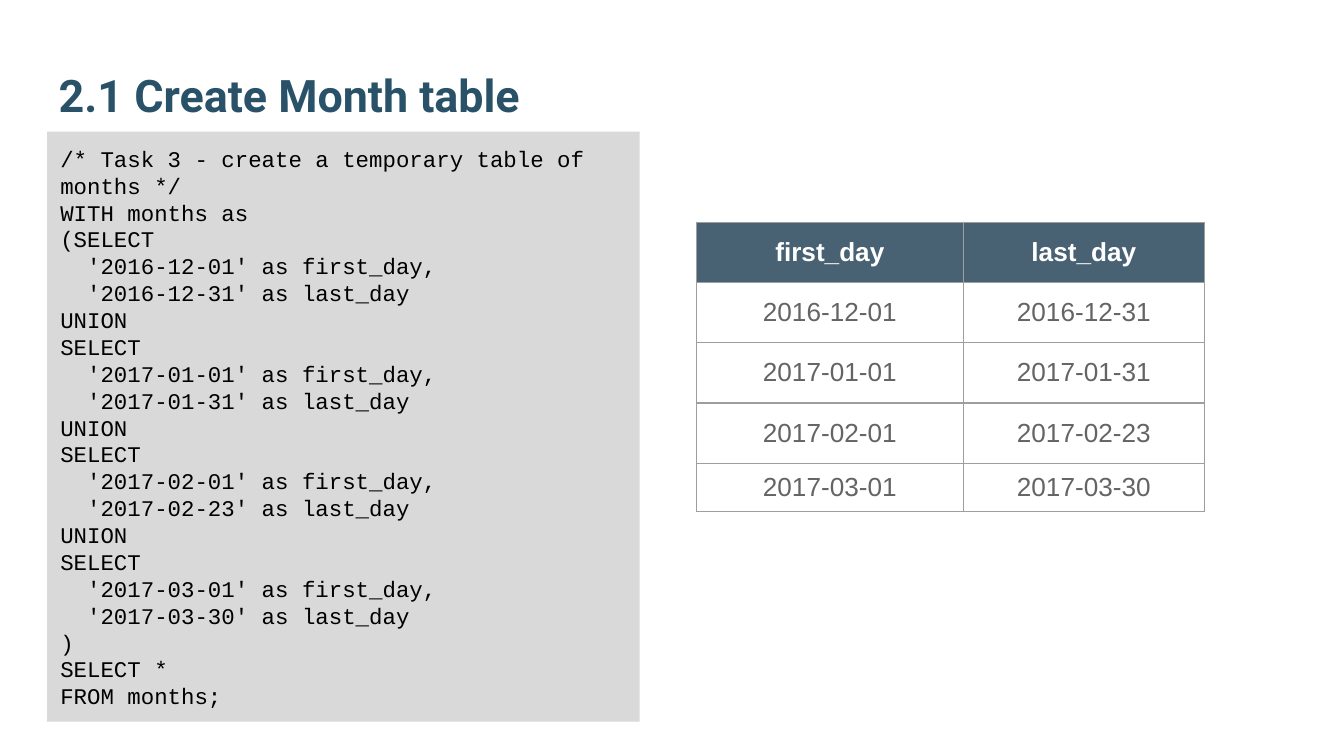
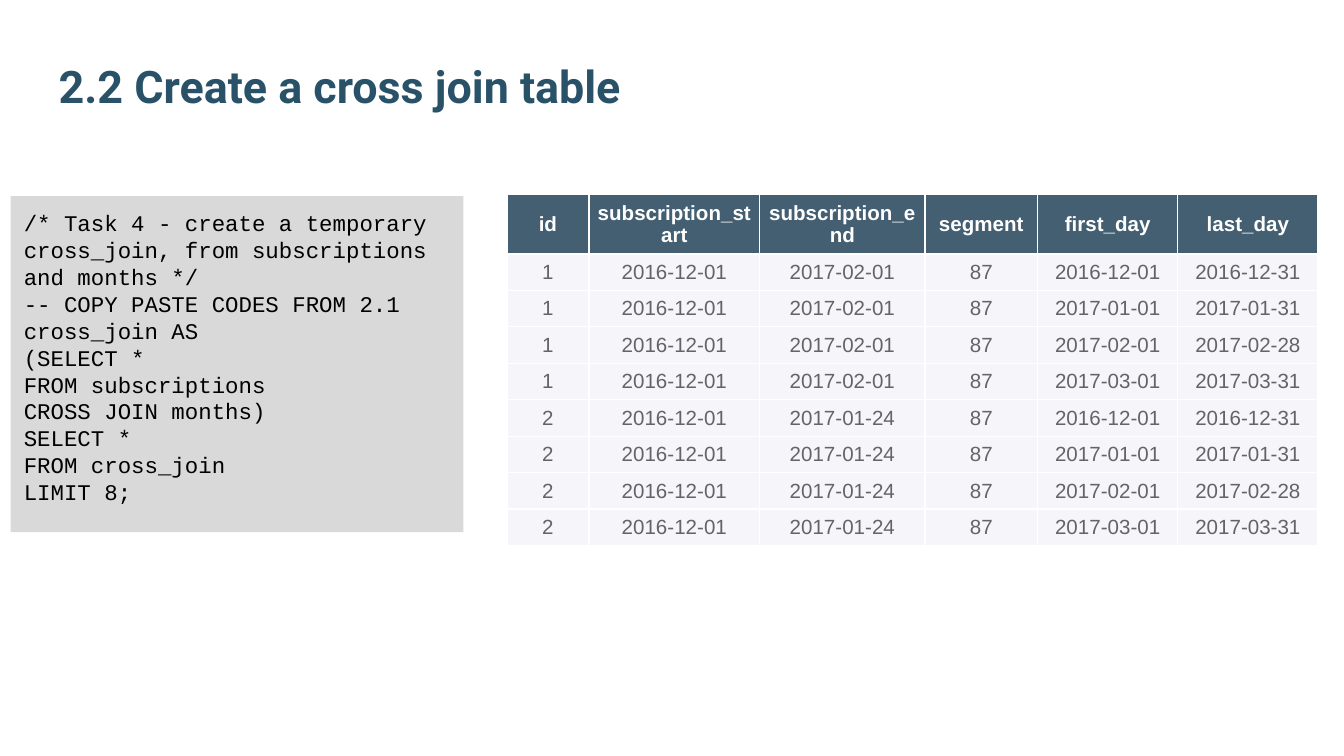
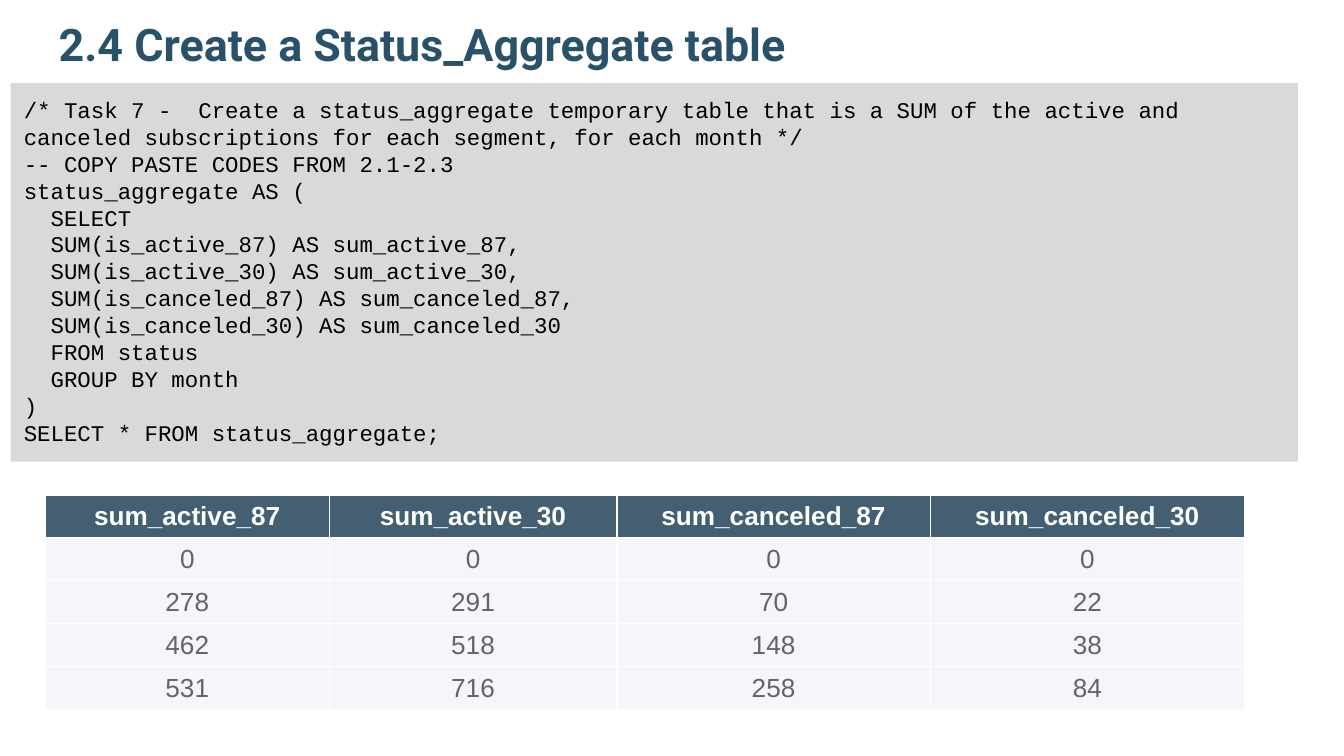
"""Build three slides that pair SQL code with the table it returns."""
import itertools

import pptx
import pptx.dml.color
import pptx.enum.shapes
import pptx.enum.text
import pptx.oxml
import pptx.oxml.ns
import pptx.util

Cm = pptx.util.Cm
Pt = pptx.util.Pt
RGB = pptx.dml.color.RGBColor.from_string
ALIGN = pptx.enum.text.PP_ALIGN
ANCHOR = pptx.enum.text.MSO_ANCHOR


class Theme:
    """Colours, fonts and type sizes shared by all slides."""
    title, code, panel = "295269", "000000", "D9D9D9"
    head, body, white, grey = "445F71", "F6F5FA", "FFFFFF", "9E9E9E"
    glass, clear, cell = "204056", 82000, "646466"
    bold, mono, sans = "Roboto", "Courier New", "Arial"
    big, small, lead = 24, 12, 14.4


def put(frame, text, font=Theme.sans, size=14, color=Theme.cell, bold=False,
        align=ALIGN.LEFT, lead=None):
    """Fill a text frame, one paragraph for each line of text."""
    for index, line in enumerate(text.split("\n")):
        para = frame.add_paragraph() if index else frame.paragraphs[0]
        para.alignment = align
        if lead:
            para.line_spacing = Pt(lead)
        run = para.add_run()
        run.text = line
        run.font.name, run.font.size, run.font.bold = font, Pt(size), bold
        run.font.color.rgb = RGB(color)


months = """/* Task 3 - create a temporary table of months */
WITH months as
(SELECT
  '2016-12-01' as first_day,
  '2016-12-31' as last_day
UNION
SELECT
  '2017-01-01' as first_day,
  '2017-01-31' as last_day
UNION
SELECT
  '2017-02-01' as first_day,
  '2017-02-23' as last_day
UNION
SELECT
  '2017-03-01' as first_day,
  '2017-03-30' as last_day
)
SELECT *
FROM months;"""

cross = """/* Task 4 - create a temporary cross_join, from subscriptions and months */
-- COPY PASTE CODES FROM 2.1
cross_join AS
(SELECT *
FROM subscriptions
CROSS JOIN months)
SELECT *
FROM cross_join
LIMIT 8;"""

status = """/* Task 7 -  Create a status_aggregate temporary table that is a SUM of the active and canceled subscriptions for each segment, for each month */
-- COPY PASTE CODES FROM 2.1-2.3
status_aggregate AS (
  SELECT
  SUM(is_active_87) AS sum_active_87,
  SUM(is_active_30) AS sum_active_30,
  SUM(is_canceled_87) AS sum_canceled_87,
  SUM(is_canceled_30) AS sum_canceled_30
  FROM status
  GROUP BY month
)
SELECT * FROM status_aggregate;"""

users = [("1", "2016-12-01", "2017-02-01", "87"),
         ("2", "2016-12-01", "2017-01-24", "87")]
spans = [("2016-12-01", "2016-12-31"), ("2017-01-01", "2017-01-31"),
         ("2017-02-01", "2017-02-28"), ("2017-03-01", "2017-03-31")]

pages = [
    dict(title="2.1 Create Month table", top=0.2,
         code=months, box=(0.89, 2.49, 11.2, 11.15),
         spot=(13.16, 4.2), size=14, plain=True,
         wide=[5.05, 4.55], high=[1.14] * 4 + [0.91],
         rows=[("first_day", "last_day"),
               ("2016-12-01", "2016-12-31"),
               ("2017-01-01", "2017-01-31"),
               ("2017-02-01", "2017-02-23"),
               ("2017-03-01", "2017-03-30")]),
    dict(title="2.2 Create a cross join table", top=0.03,
         code=cross, box=(0.2, 3.71, 8.56, 6.35),
         spot=(9.58, 3.68), size=11, plain=False,
         wide=[1.55, 3.23, 3.12, 2.13, 2.65, 2.65], high=[1.12] + [0.69] * 8,
         rows=[("id", "subscription_start", "subscription_end", "segment",
                "first_day", "last_day")]
         + [user + span for user, span in itertools.product(users, spans)]),
    dict(title="2.4 Create a Status_Aggregate table", top=-0.76,
         code=status, box=(0.2, 1.57, 24.33, 7.16),
         spot=(0.86, 9.36), size=14, plain=False,
         wide=[5.36, 5.44, 5.92, 5.94], high=[0.81] * 5,
         rows=[("sum_active_87", "sum_active_30",
                "sum_canceled_87", "sum_canceled_30"),
               ("0", "0", "0", "0"),
               ("278", "291", "70", "22"),
               ("462", "518", "148", "38"),
               ("531", "716", "258", "84")]),
]

deck = pptx.Presentation()
deck.slide_width, deck.slide_height = Cm(25.4), Cm(14.29)

for page in pages:
    slide = deck.slides.add_slide(deck.slide_layouts[5])

    title = slide.shapes.title
    title.left, title.top = Cm(0.86), Cm(page["top"])
    title.width, title.height = Cm(23.67), Cm(2.34)
    panel = slide.shapes.add_shape(
        pptx.enum.shapes.MSO_SHAPE.RECTANGLE, *map(Cm, page["box"]))
    panel.shadow.inherit = False
    panel.fill.solid()
    panel.fill.fore_color.rgb = RGB(Theme.panel)
    panel.line.fill.background()
    for shape, anchor in ((title, ANCHOR.BOTTOM), (panel, ANCHOR.TOP)):
        frame = shape.text_frame
        frame.word_wrap = True
        frame.auto_size = pptx.enum.text.MSO_AUTO_SIZE.NONE
        frame.vertical_anchor = anchor
        frame.margin_left = frame.margin_right = Cm(0.25)
        frame.margin_top = frame.margin_bottom = Cm(0.25)
    put(title.text_frame, page["title"], font=Theme.bold, size=Theme.big,
        color=Theme.title, bold=True)
    put(panel.text_frame, page["code"], font=Theme.mono, size=Theme.small,
        color=Theme.code, lead=Theme.lead)

    wide, high, plain = page["wide"], page["high"], page["plain"]
    table = slide.shapes.add_table(
        len(high), len(wide), *map(Cm, page["spot"]),
        Cm(sum(wide)), Cm(sum(high))).table
    table.horz_banding = False
    for col, width in zip(table.columns, wide):
        col.width = Cm(width)
    for row, height in zip(table.rows, high):
        row.height = Cm(height)
    edge = Theme.grey if plain else Theme.white
    for y, line in enumerate(page["rows"]):
        for x, text in enumerate(line):
            cell = table.cell(y, x)
            cell.vertical_anchor = ANCHOR.MIDDLE
            cell.margin_left = cell.margin_right = Cm(0.12)
            cell.margin_top = cell.margin_bottom = Cm(0.12)
            props = cell._tc.get_or_add_tcPr()
            for side in "LRTB":
                props.append(pptx.oxml.parse_xml(
                    f'<a:ln{side} {pptx.oxml.ns.nsdecls("a")} w="{Pt(0.75)}">'
                    f'<a:solidFill><a:srgbClr val="{edge}"/></a:solidFill>'
                    f'</a:ln{side}>'))
            if plain and y:
                cell.fill.background()
            else:
                cell.fill.solid()
                tint = Theme.glass if plain else Theme.body if y else Theme.head
                cell.fill.fore_color.rgb = RGB(tint)
            if plain and not y:
                shade = props.find(pptx.oxml.ns.qn("a:solidFill"))[0]
                shade.append(pptx.oxml.parse_xml(
                    f'<a:alpha {pptx.oxml.ns.nsdecls("a")} val="{Theme.clear}"/>'))
            put(cell.text_frame, text, size=page["size"], bold=not y,
                color=Theme.cell if y else Theme.white, align=ALIGN.CENTER)

deck.save("out.pptx")
